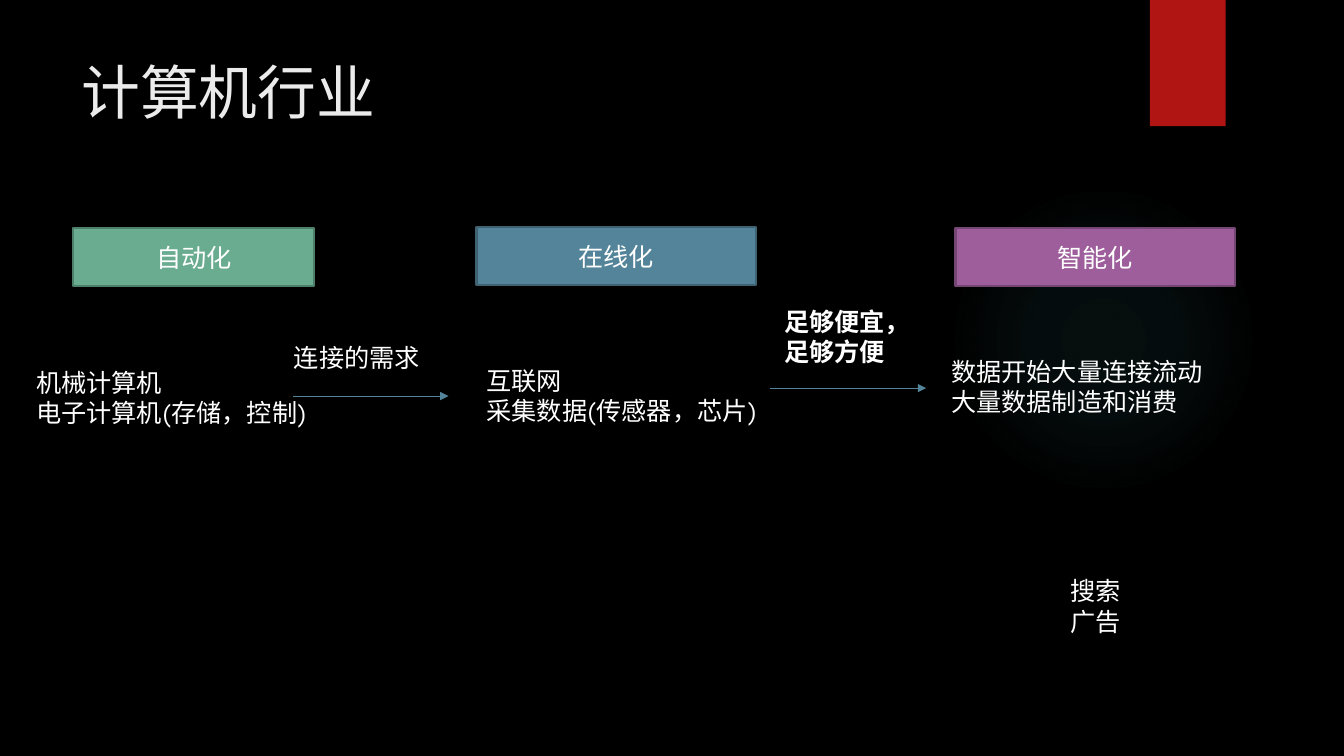
from dataclasses import dataclass
from lxml import etree
from pptx import Presentation
from pptx.dml.color import RGBColor as RGB
from pptx.enum.shapes import MSO_CONNECTOR as Conn, MSO_SHAPE as Shape
from pptx.enum.text import MSO_ANCHOR as Anchor, PP_ALIGN as Align
from pptx.oxml import parse_xml
from pptx.oxml.ns import nsdecls, qn
from pptx.util import Cm, Pt


TITLE = ("计算机行业", (1.8, 1.27, 26.14, 3.89))
STAGES = [
    ("自动化", (1.85, 5.74, 6.07, 1.47), "6AAC90", "4E7F6B"),
    ("在线化", (12.01, 5.72, 7.04, 1.47), "54849A", "3E6272"),
    ("智能化", (24.08, 5.74, 7.04, 1.47), "9E5E9B", "754673"),
]
NOTES = [
    (["机械计算机", "电子计算机(存储，控制)"], (0.66, 9.12, 7.39, 1.8), False),
    (["互联网", "采集数据(传感器，芯片)"], (12.01, 9.07, 7.39, 3.33), False),
    (["数据开始大量连接流动", "大量数据制造和消费"], (23.72, 8.86, 6.95, 1.8), False),
    (["足够便宜，", "足够方便"], (19.51, 7.59, 3.75, 1.8), True),
    (["连接的需求"], (7.16, 8.51, 3.75, 1.02), False),
    (["搜索", "广告"], (26.72, 14.38, 1.8, 1.8), False),
]
ARROWS = [(7.39, 11.3, 9.98), (19.41, 23.34, 9.78)]
GLOW_BOX = (23.9, 4.65, 7.82, 7.82)
GLOW_STOPS = [(0, 7), (36, 6), (69, 0)]
RIBBON_BOX = (28.98, 0, 1.91, 3.18)


@dataclass(frozen=True)
class Theme:
    font: str = "TeX Gyre Adventor"
    background: str = "000000"
    title: str = "EBEBEB"
    text: str = "FFFFFF"
    ribbon: str = "B01513"
    glow: str = "50B9C1"
    arrow: str = "54849A"
    title_size: int = 42
    body_size: int = 18
    border: float = 1.5
    arrow_width: float = 0.75


T = Theme()


def color(value):
    return RGB.from_string(value)


def lengths(box):
    return [Cm(v) for v in box]


def write(sp, lines, size, ink, bold=False, align=Align.LEFT, anchor=Anchor.TOP):
    tf = sp.text_frame
    tf.word_wrap = True
    tf.vertical_anchor = anchor
    tf.text = "\n".join(lines)
    for p in tf.paragraphs:
        p.alignment = align
        for r in p.runs:
            r.font.name = T.font
            r.font.size = Pt(size)
            r.font.bold = bold
            r.font.color.rgb = color(ink)


def add_block(s, kind, box, fill, line=None):
    sp = s.shapes.add_shape(kind, *lengths(box))
    sp.shadow.inherit = False
    sp.fill.solid()
    sp.fill.fore_color.rgb = color(fill)
    if line:
        sp.line.color.rgb = color(line)
        sp.line.width = Pt(T.border)
    else:
        sp.line.fill.background()
    return sp


def add_glow(s):
    sp = add_block(s, Shape.OVAL, GLOW_BOX, T.glow)
    stops = "".join(
        f'<a:gs pos="{pos * 1000}"><a:srgbClr val="{T.glow}">'
        f'<a:alpha val="{alpha * 1000}"/></a:srgbClr></a:gs>'
        for pos, alpha in GLOW_STOPS
    )
    grad = parse_xml(
        f'<a:gradFill {nsdecls("a")}><a:gsLst>{stops}</a:gsLst><a:path path="circle">'
        '<a:fillToRect l="50000" t="50000" r="50000" b="50000"/></a:path></a:gradFill>'
    )
    solid = sp.fill._xPr.find(qn("a:solidFill"))
    solid.getparent().replace(solid, grad)


def add_arrow(s, x1, x2, y):
    cx = s.shapes.add_connector(Conn.STRAIGHT, *lengths((x1, y, x2, y)))
    cx.line.color.rgb = color(T.arrow)
    cx.line.width = Pt(T.arrow_width)
    etree.SubElement(cx.line._get_or_add_ln(), qn("a:tailEnd"), type="triangle")
    etree.SubElement(cx._element.spPr, qn("a:effectLst"))


def main():
    prs = Presentation()
    prs.slide_width, prs.slide_height = Cm(33.87), Cm(19.05)
    s = prs.slides.add_slide(prs.slide_layouts[6])
    s.background.fill.solid()
    s.background.fill.fore_color.rgb = color(T.background)

    add_glow(s)
    add_block(s, Shape.RECTANGLE, RIBBON_BOX, T.ribbon)

    title, box = TITLE
    write(s.shapes.add_textbox(*lengths(box)), [title], T.title_size, T.title)

    for name, box, fill, line in STAGES:
        sp = add_block(s, Shape.RECTANGLE, box, fill, line)
        write(sp, [name], T.body_size, T.text, align=Align.CENTER, anchor=Anchor.MIDDLE)

    for lines, box, bold in NOTES:
        write(s.shapes.add_textbox(*lengths(box)), lines, T.body_size, T.text, bold)

    for x1, x2, y in ARROWS:
        add_arrow(s, x1, x2, y)

    prs.save("out.pptx")


if __name__ == "__main__":
    main()
